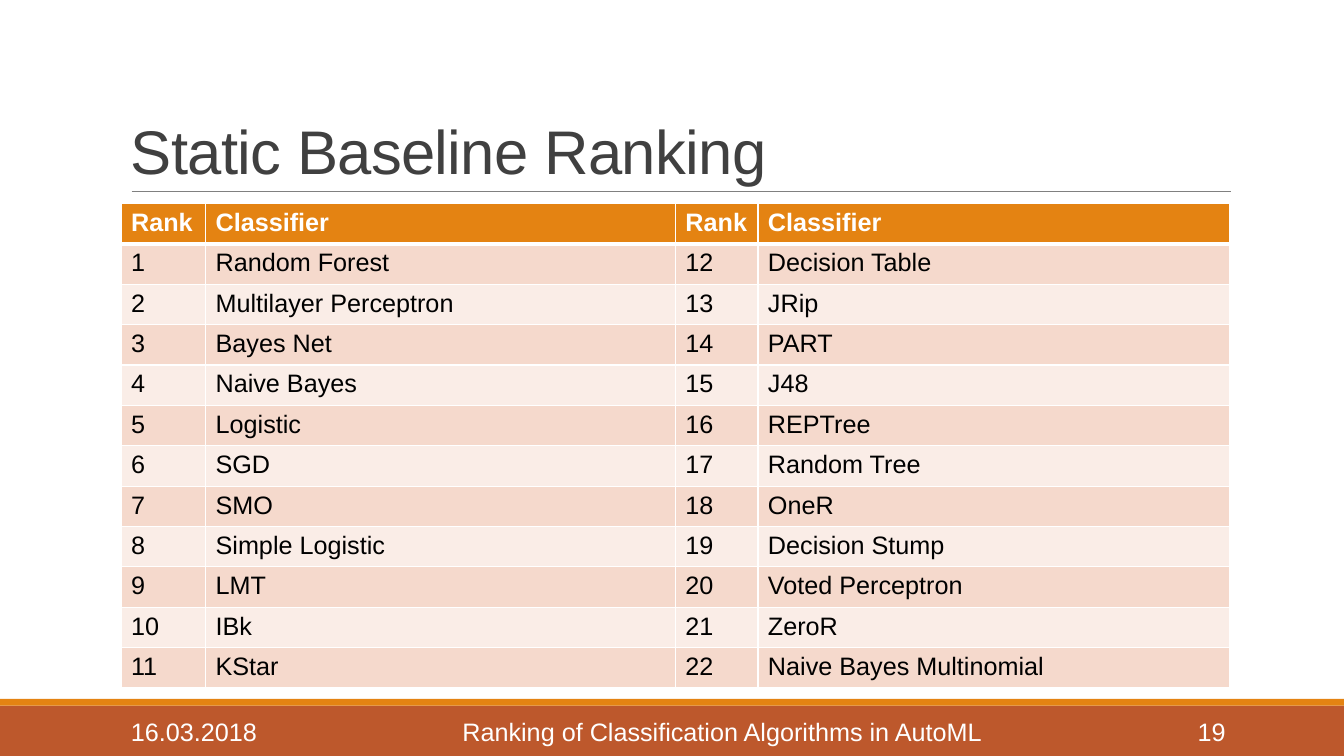
from lxml import etree
from pptx import Presentation
from pptx.dml.color import RGBColor
from pptx.enum.shapes import MSO_CONNECTOR, MSO_SHAPE
from pptx.enum.text import MSO_ANCHOR, PP_ALIGN
from pptx.oxml.ns import qn
from pptx.util import Cm, Pt

RECTANGLE = MSO_SHAPE.RECTANGLE
STRAIGHT = MSO_CONNECTOR.STRAIGHT
BOTTOM, MIDDLE = MSO_ANCHOR.BOTTOM, MSO_ANCHOR.MIDDLE
LEFT, CENTER, RIGHT = PP_ALIGN.LEFT, PP_ALIGN.CENTER, PP_ALIGN.RIGHT

TITLE = "Static Baseline Ranking"
HEADINGS = ["Rank", "Classifier"]
CLASSIFIERS = [
    "Random Forest", "Multilayer Perceptron", "Bayes Net", "Naive Bayes",
    "Logistic", "SGD", "SMO", "Simple Logistic", "LMT", "IBk", "KStar",
    "Decision Table", "JRip", "PART", "J48", "REPTree", "Random Tree",
    "OneR", "Decision Stump", "Voted Perceptron", "ZeroR",
    "Naive Bayes Multinomial",
]
FOOTER = [
    ("16.03.2018", 4.04, LEFT),
    ("Ranking of Classification Algorithms in AutoML", 22.22, CENTER),
    ("19", 1.83, RIGHT),
]

FONT = "Arial"
ORANGE, RUST, WHITE, BLACK = "E48312", "BD582C", "FFFFFF", "000000"
TITLE_GREY, RULE_GREY = "404040", "808080"
BANDS = ["F5D9CC", "FAEDE7"]

SLIDE_WIDTH, SLIDE_HEIGHT = 33.87, 19.05
MARGIN, CONTENT_WIDTH = 3.05, 27.94
FOOTER_TOP, STRIPE_HEIGHT = 17.78, 0.17
RULE_LEFT, RULE_RIGHT, RULE_TOP = 3.32, 31.01, 4.83
TABLE_TOP, ROW_HEIGHT = 5.13, 0.97
COLUMN_WIDTHS = [2.13, 11.84, 2.08, 11.89]


def color(value):
    return RGBColor.from_string(value)


def style(paragraph, size, value, bold=False):
    font = paragraph.font
    font.name, font.size, font.bold = FONT, Pt(size), bold
    font.color.rgb = color(value)


def add_band(slide, top, height, value):
    band = slide.shapes.add_shape(
        RECTANGLE, 0, Cm(top), Cm(SLIDE_WIDTH), Cm(height))
    band.shadow.inherit = False
    band.fill.solid()
    band.fill.fore_color.rgb = color(value)
    band.line.fill.background()


def add_text(slide, text, box, size, value, anchor, align=LEFT):
    frame = slide.shapes.add_textbox(*map(Cm, box)).text_frame
    frame.word_wrap = True
    frame.vertical_anchor = anchor
    paragraph = frame.paragraphs[0]
    paragraph.text = text
    paragraph.alignment = align
    style(paragraph, size, value)
    return paragraph


def add_rule(slide):
    rule = slide.shapes.add_connector(
        STRAIGHT, Cm(RULE_LEFT), Cm(RULE_TOP), Cm(RULE_RIGHT), Cm(RULE_TOP))
    rule.line.color.rgb = color(RULE_GREY)
    rule.line.width = Pt(0.5)
    etree.SubElement(rule._element.spPr, qn("a:effectLst"))


def set_borders(cell, widths):
    properties = cell._tc.get_or_add_tcPr()
    for side, width in widths.items():
        border = etree.SubElement(
            properties, qn(f"a:ln{side}"), w=str(Pt(width)))
        fill = etree.SubElement(border, qn("a:solidFill"))
        etree.SubElement(fill, qn("a:srgbClr"), val=WHITE)


def add_ranking(slide):
    half = len(CLASSIFIERS) // 2
    rows = [HEADINGS * 2]
    for i in range(half):
        rows.append([str(i + 1), CLASSIFIERS[i],
                     str(i + half + 1), CLASSIFIERS[i + half]])
    table = slide.shapes.add_table(
        len(rows), len(COLUMN_WIDTHS), Cm(MARGIN), Cm(TABLE_TOP),
        Cm(CONTENT_WIDTH), Cm(ROW_HEIGHT * len(rows))).table
    for column, width in zip(table.columns, COLUMN_WIDTHS):
        column.width = Cm(width)
    for r, texts in enumerate(rows):
        header = r == 0
        table.rows[r].height = Cm(ROW_HEIGHT)
        borders = {"L": 1, "R": 1, "T": 3 if r == 1 else 1,
                   "B": 3 if header else 1}
        for c, text in enumerate(texts):
            cell = table.cell(r, c)
            cell.text = text
            set_borders(cell, borders)
            cell.fill.solid()
            cell.fill.fore_color.rgb = color(
                ORANGE if header else BANDS[(r - 1) % 2])
            style(cell.text_frame.paragraphs[0], 18,
                  WHITE if header else BLACK, header)


def main():
    deck = Presentation()
    deck.slide_width, deck.slide_height = Cm(SLIDE_WIDTH), Cm(SLIDE_HEIGHT)
    slide = deck.slides.add_slide(deck.slide_layouts[6])

    add_band(slide, FOOTER_TOP, SLIDE_HEIGHT - FOOTER_TOP, RUST)
    add_band(slide, FOOTER_TOP - STRIPE_HEIGHT, STRIPE_HEIGHT, ORANGE)
    add_rule(slide)

    title = add_text(slide, TITLE, (MARGIN, 0.79, CONTENT_WIDTH, 4.04),
                     44, TITLE_GREY, BOTTOM)
    title.line_spacing = 0.85
    title.runs[0].font._element.set("spc", "-50")

    add_ranking(slide)

    left = MARGIN
    for text, width, align in FOOTER:
        add_text(slide, text, (left, 17.93, width, 1.02),
                 18, WHITE, MIDDLE, align)
        left += width

    deck.save("out.pptx")


if __name__ == "__main__":
    main()
